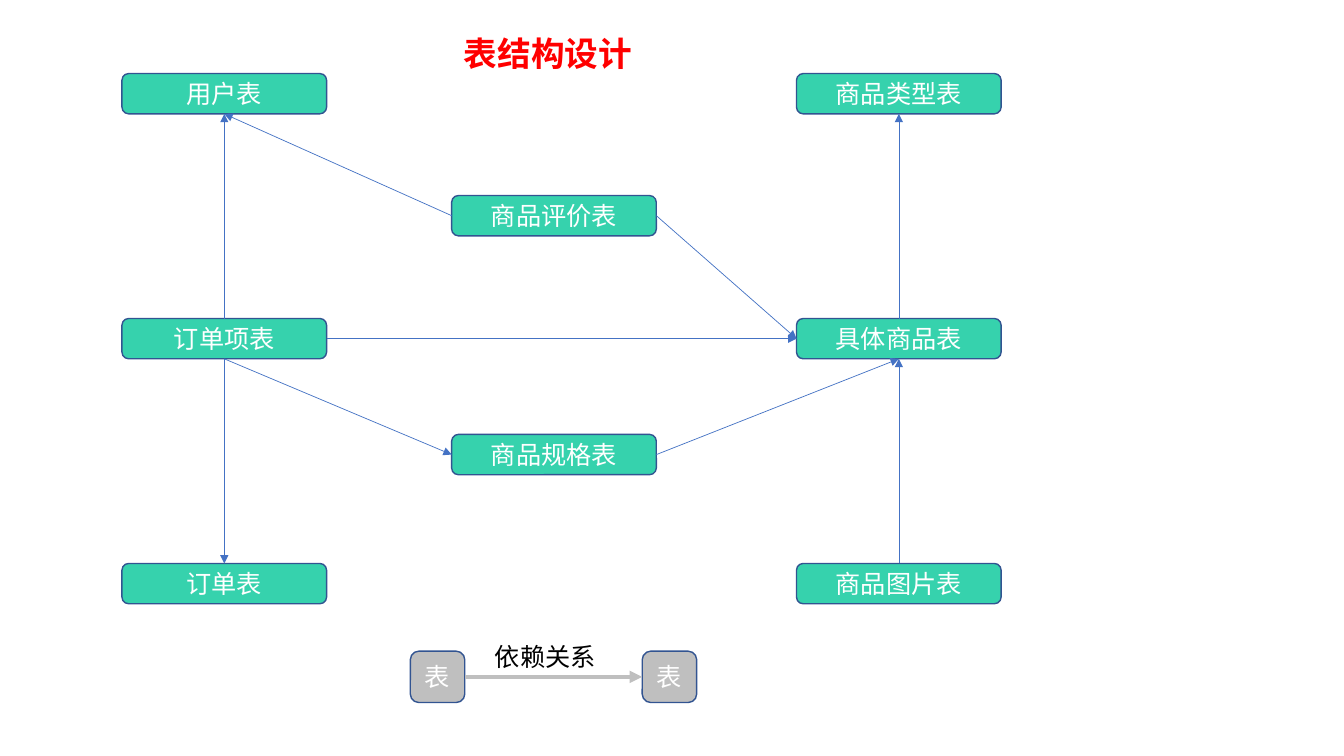
import pptx
import pptx.dml.color
import pptx.enum.shapes
import pptx.enum.text
import pptx.oxml.ns
import pptx.oxml.xmlchemy
import pptx.util
from lxml import etree
from pptx.util import Inches

RGBColor = pptx.dml.color.RGBColor
GREEN = RGBColor(0x36, 0xD2, 0xAD)
GREY = RGBColor(0xBF, 0xBF, 0xBF)
NAVY = RGBColor(0x32, 0x54, 0x91)
BLUE = RGBColor(0x44, 0x72, 0xC4)
RED = RGBColor(0xFF, 0x00, 0x00)
BLACK = RGBColor(0x00, 0x00, 0x00)
WHITE = RGBColor(0xFF, 0xFF, 0xFF)
FONT = "Noto Sans CJK SC"

# Connection sites of a rounded rectangle
TOP, LEFT, BOTTOM, RIGHT = range(4)

# Grid of the diagram
LEFT_COL, MIDDLE_COL, RIGHT_COL = 1.21, 4.48, 7.9
TOP_ROW, ROW_STEP = 0.73, 2.43
CENTRE_ROW, BOTTOM_ROW = TOP_ROW + ROW_STEP, TOP_ROW + 2 * ROW_STEP
TABLE_SIZE = (2.03, 0.4)
KEY_SIZE = (0.54, 0.51)

TABLES = {
    "用户表": (LEFT_COL, TOP_ROW),
    "订单项表": (LEFT_COL, CENTRE_ROW),
    "订单表": (LEFT_COL, BOTTOM_ROW),
    "商品评价表": (MIDDLE_COL, 1.94),
    "商品规格表": (MIDDLE_COL, 4.31),
    "商品类型表": (RIGHT_COL, TOP_ROW),
    "具体商品表": (RIGHT_COL, CENTRE_ROW),
    "商品图片表": (RIGHT_COL, BOTTOM_ROW),
}

DEPENDENCIES = [
    ("具体商品表", TOP, "商品类型表", BOTTOM),
    ("商品图片表", TOP, "具体商品表", BOTTOM),
    ("商品评价表", LEFT, "用户表", BOTTOM),
    ("商品评价表", RIGHT, "具体商品表", LEFT),
    ("订单项表", TOP, "用户表", BOTTOM),
    ("订单项表", RIGHT, "具体商品表", LEFT),
    ("订单项表", BOTTOM, "订单表", TOP),
    ("订单项表", BOTTOM, "商品规格表", LEFT),
    ("商品规格表", RIGHT, "具体商品表", BOTTOM),
]


def add_text(frame, text, color, size=18, bold=False,
             align=pptx.enum.text.PP_ALIGN.LEFT):
    paragraph = frame.paragraphs[0]
    paragraph.alignment = align
    run = paragraph.add_run()
    run.text = text
    run.font.name = FONT
    run.font.size = pptx.util.Pt(size)
    run.font.bold = bold
    run.font.color.rgb = color
    # Chinese text takes the East Asian typeface
    east_asian = etree.SubElement(run.font._element, pptx.oxml.ns.qn("a:ea"))
    east_asian.set("typeface", FONT)


def add_box(slide, text, position, size, fill):
    box = slide.shapes.add_shape(
        pptx.enum.shapes.MSO_SHAPE.ROUNDED_RECTANGLE,
        *map(Inches, position + size))
    box.shadow.inherit = False
    box.fill.solid()
    box.fill.fore_color.rgb = fill
    box.line.color.rgb = NAVY
    box.line.width = pptx.util.Pt(1)
    box.text_frame.vertical_anchor = pptx.enum.text.MSO_ANCHOR.MIDDLE
    add_text(box.text_frame, text, WHITE,
             align=pptx.enum.text.PP_ALIGN.CENTER)
    return box


def add_arrow(slide, source, source_site, target, target_site, color, width):
    arrow = slide.shapes.add_connector(
        pptx.enum.shapes.MSO_CONNECTOR.STRAIGHT, 0, 0, 0, 0)
    arrow.begin_connect(source, source_site)
    arrow.end_connect(target, target_site)
    arrow.line.color.rgb = color
    arrow.line.width = pptx.util.Pt(width)
    head = etree.SubElement(arrow.line._get_or_add_ln(),
                            pptx.oxml.ns.qn("a:tailEnd"))
    head.set("type", "triangle")
    etree.SubElement(arrow._element.spPr, pptx.oxml.ns.qn("a:effectLst"))


def add_title(slide, text):
    title = slide.shapes.title
    title.left, title.top = Inches(4.5), Inches(0.28)
    title.width, title.height = Inches(1.88), Inches(0.5)
    title.text_frame.word_wrap = False
    title.text_frame.auto_size = pptx.enum.text.MSO_AUTO_SIZE.NONE
    title.text_frame.vertical_anchor = pptx.enum.text.MSO_ANCHOR.TOP
    add_text(title.text_frame, text, RED, size=24, bold=True)


def add_legend(slide):
    source, target = [add_box(slide, "表", (left, 6.46), KEY_SIZE, GREY)
                      for left in (4.07, 6.37)]
    add_arrow(slide, source, RIGHT, target, LEFT, GREY, 3)
    label = slide.shapes.add_textbox(*map(Inches, (4.81, 6.31, 1.38, 0.4)))
    label.text_frame.word_wrap = True
    add_text(label.text_frame, "依赖关系", BLACK)


def main():
    deck = pptx.Presentation()
    deck.slide_width, deck.slide_height = Inches(13.33), Inches(7.5)
    slide = deck.slides.add_slide(deck.slide_layouts.get_by_name("Title Only"))
    add_title(slide, "表结构设计")

    # Tables and their dependencies
    boxes = {name: add_box(slide, name, position, TABLE_SIZE, GREEN)
             for name, position in TABLES.items()}
    for source, source_site, target, target_site in DEPENDENCIES:
        add_arrow(slide, boxes[source], source_site,
                  boxes[target], target_site, BLUE, 0.5)

    add_legend(slide)
    deck.save("out.pptx")


main()
